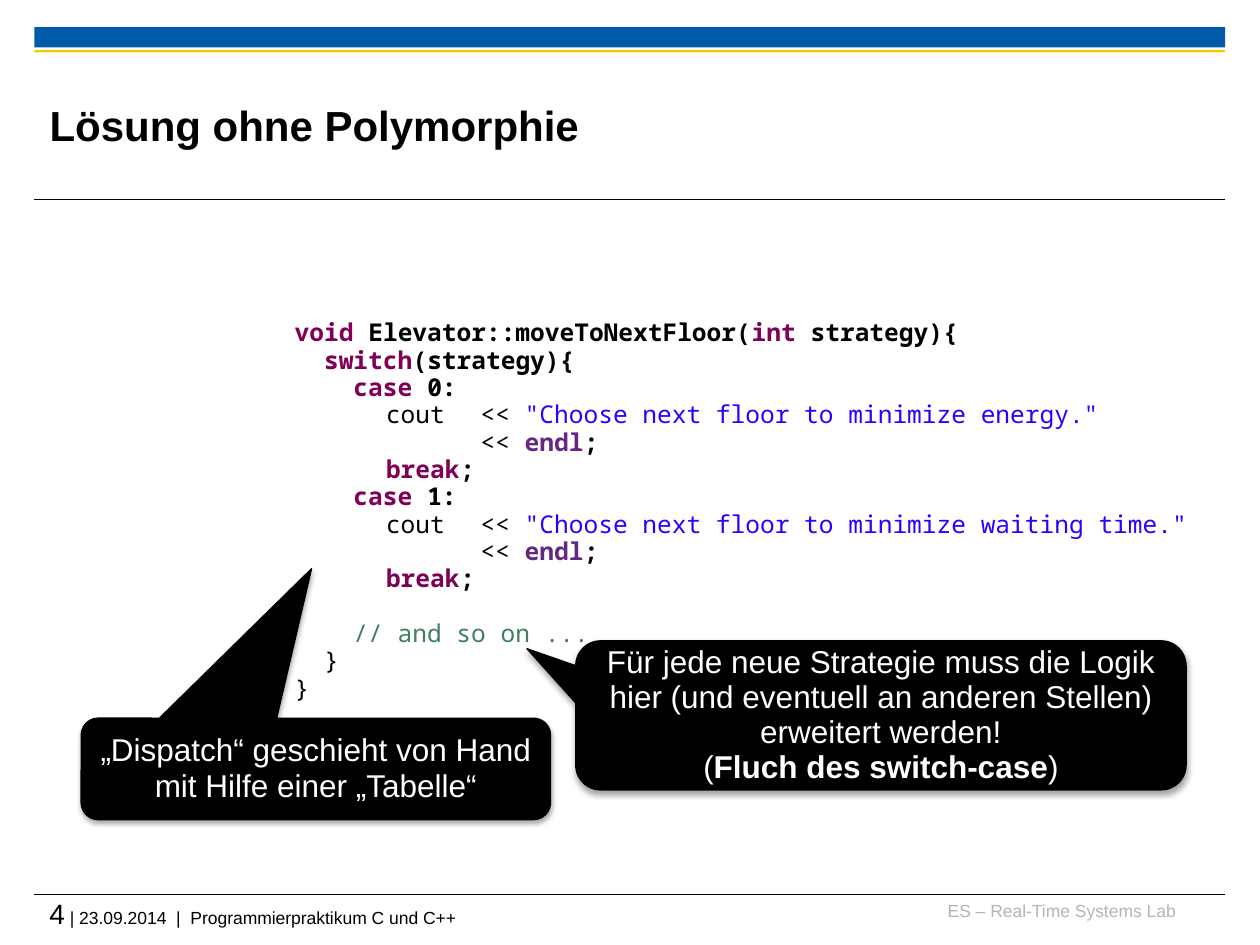
from lxml import etree
from pptx import Presentation
from pptx.dml.color import RGBColor
from pptx.enum.shapes import MSO_CONNECTOR, MSO_SHAPE
from pptx.enum.text import MSO_ANCHOR, MSO_AUTO_SIZE, PP_ALIGN
from pptx.oxml.ns import qn
from pptx.util import Pt

STRAIGHT = MSO_CONNECTOR.STRAIGHT
RECTANGLE = MSO_SHAPE.RECTANGLE
CALLOUT = MSO_SHAPE.ROUNDED_RECTANGULAR_CALLOUT
TOP, MIDDLE = MSO_ANCHOR.TOP, MSO_ANCHOR.MIDDLE
GROW = MSO_AUTO_SIZE.SHAPE_TO_FIT_TEXT
LEFT, CENTER, RIGHT = PP_ALIGN.LEFT, PP_ALIGN.CENTER, PP_ALIGN.RIGHT

BLACK = RGBColor(0x00, 0x00, 0x00)
WHITE = RGBColor(0xFF, 0xFF, 0xFF)
BLUE = RGBColor(0x00, 0x5A, 0xA9)
YELLOW = RGBColor(0xFD, 0xCA, 0x00)
GRAY = RGBColor(0xB5, 0xB5, 0xB5)
KEYWORD = RGBColor(0x7F, 0x00, 0x55)
STRING = RGBColor(0x2A, 0x00, 0xFF)
MANIPULATOR = RGBColor(0x64, 0x28, 0x80)
COMMENT = RGBColor(0x3F, 0x7F, 0x5F)

SANS, MONO = "Arial", "Noto Sans Mono"
LINE_SPACING = 0.93
TAB_STEP = 35.4


def add_run(paragraph, text, size, color, bold=False, font_name=SANS):
    run = paragraph.add_run()
    run.text = text
    run.font.name = font_name
    run.font.size = Pt(size)
    run.font.bold = bold
    run.font.color.rgb = color


def add_label(slide, box, anchor=TOP, align=LEFT):
    frame = slide.shapes.add_textbox(*map(Pt, box)).text_frame
    frame.word_wrap = True
    frame.vertical_anchor = anchor
    frame.margin_left = frame.margin_top = frame.margin_right = frame.margin_bottom = 0
    frame.paragraphs[0].alignment = align
    return frame.paragraphs[0]


def add_rule(slide, left, top, width):
    rule = slide.shapes.add_connector(
        STRAIGHT, Pt(left), Pt(top), Pt(left + width), Pt(top))
    rule.line.color.rgb = BLACK
    rule.line.width = Pt(0.6)
    etree.SubElement(rule._element.spPr, qn("a:effectLst"))


def add_bar(slide, left, top, width, height, color):
    bar = slide.shapes.add_shape(RECTANGLE, Pt(left), Pt(top), Pt(width), Pt(height))
    bar.shadow.inherit = False
    bar.fill.solid()
    bar.fill.fore_color.rgb = color
    bar.line.fill.background()


def add_header(slide, box, title):
    left, top, width, height = box
    add_bar(slide, left, top, width, 11.5, BLUE)
    add_bar(slide, left, top + 13, width, 1.4, YELLOW)
    heading = add_label(slide, (left + 8.6, top + 22.4, 541.4, 66.2), MIDDLE)
    add_run(heading, title, 24, BLACK, True)
    add_rule(slide, left, top + height, width)


def add_footer(slide, box, number, details, lab):
    left, top, width, height = box
    add_rule(slide, left, top, width)
    lab_label = add_label(slide, (left + 510.3, top + 3, 141.8, 18), align=RIGHT)
    add_run(lab_label, lab, 10, GRAY)
    details_label = add_label(slide, (left + 8.6, top + 1.5, width - 8.6, height))
    add_run(details_label, number, 16, BLACK)
    add_run(details_label, details, 10, BLACK)


def add_tab_stops(paragraph):
    stops = etree.SubElement(paragraph._p.get_or_add_pPr(), qn("a:tabLst"))
    for step in range(1, 4):
        etree.SubElement(stops, qn("a:tab"), pos=str(Pt(TAB_STEP * step)), algn="l")


def strategy_case(number, message, gap):
    return [
        [("    case", KEYWORD, True), (f" {number}:", BLACK, True)],
        [(f"\t  cout{gap}\t<< ", BLACK, False), (f'"{message}"', STRING, False)],
        [("\t\t\t<< ", BLACK, False), ("endl", MANIPULATOR, True), (";", BLACK, True)],
        [("\t  break", KEYWORD, True), (";", BLACK, True)],
    ]


def add_code(slide, box, lines):
    frame = slide.shapes.add_textbox(*map(Pt, box)).text_frame
    frame.word_wrap = True
    frame.auto_size = GROW
    for index, line in enumerate(lines):
        paragraph = frame.add_paragraph() if index else frame.paragraphs[0]
        paragraph.line_spacing = LINE_SPACING
        add_tab_stops(paragraph)
        for text, color, bold in line:
            add_run(paragraph, text, 14, color, bold, MONO)


def add_callout(slide, box, tip, lines):
    callout = slide.shapes.add_shape(CALLOUT, *map(Pt, box))
    for index, value in enumerate((*tip, 0.167)):
        callout.adjustments[index] = value
    callout.fill.solid()
    callout.fill.fore_color.rgb = BLACK
    callout.line.color.rgb = BLACK
    callout.line.width = Pt(0.75)
    callout.shadow.inherit = False
    effects = callout._element.spPr.find(qn("a:effectLst"))
    shadow = etree.SubElement(
        effects, qn("a:outerShdw"), blurRad=str(Pt(3.1)), dist=str(Pt(1.8)),
        dir="5400000", rotWithShape="0")
    shadow_color = etree.SubElement(shadow, qn("a:srgbClr"), val=str(BLACK))
    etree.SubElement(shadow_color, qn("a:alpha"), val="35000")

    frame = callout.text_frame
    frame.word_wrap = True
    frame.vertical_anchor = MIDDLE
    paragraph = frame.paragraphs[0]
    paragraph.alignment = CENTER
    paragraph.line_spacing = LINE_SPACING
    for index, line in enumerate(lines):
        if index:
            paragraph.add_line_break()
        for text, bold in line:
            add_run(paragraph, text, 18, WHITE, bold)


def main():
    presentation = Presentation()
    presentation.slide_width, presentation.slide_height = Pt(720), Pt(540)
    slide = presentation.slides.add_slide(presentation.slide_layouts[6])

    add_header(slide, (19.7, 15.6, 680.4, 98.6), "Lösung ohne Polymorphie")
    add_footer(slide, (19.7, 511.1, 680.4, 23.8), "4",
               " | 23.09.2014  |  Programmierpraktikum C und C++",
               "ES – Real-Time Systems Lab")
    add_code(slide, (161.3, 179.3, 550, 228.2), [
        [("void ", KEYWORD, True), ("Elevator::moveToNextFloor(", BLACK, True),
         ("int ", KEYWORD, True), ("strategy){", BLACK, True)],
        [("  switch", KEYWORD, True), ("(strategy){", BLACK, True)],
        *strategy_case(0, "Choose next floor to minimize energy.", ""),
        *strategy_case(1, "Choose next floor to minimize waiting time.", " "),
        [("\t", COMMENT, False)],
        [("    // and so on ...", COMMENT, False)],
        [("  }", BLACK, False)],
        [("}", BLACK, False)],
    ])
    add_callout(slide, (329, 366.2, 348.8, 85.2), (-0.58, -0.447), [
        [("Für jede neue Strategie muss die Logik hier (und eventuell "
          "an anderen Stellen) erweitert werden!", False)],
        [("(", False), ("Fluch des switch-case", True), (")", False)],
    ])
    add_callout(slide, (46.4, 410.4, 268.2, 58), (-0.009, -1.973), [
        [("„Dispatch“ geschieht von Hand mit Hilfe einer „Tabelle“", False)],
    ])
    presentation.save("out.pptx")


if __name__ == "__main__":
    main()
